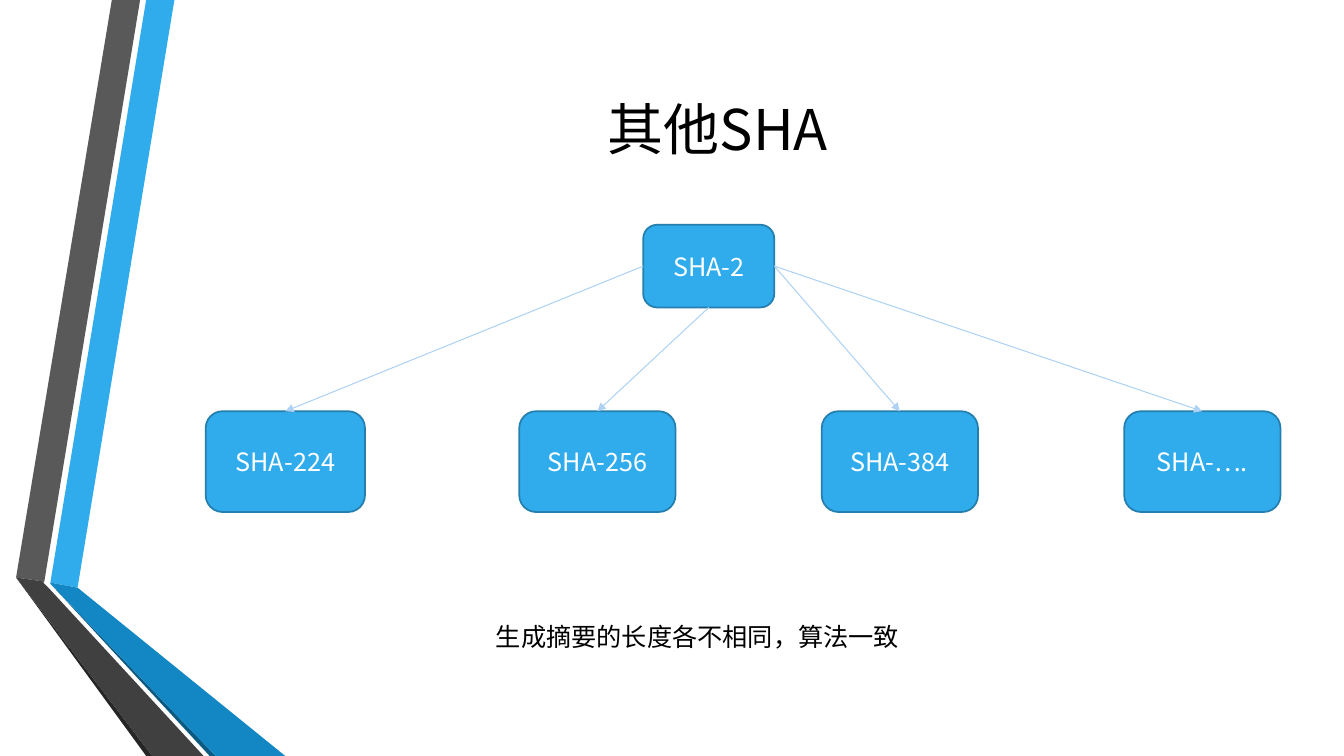
from lxml.etree import SubElement
from pptx import Presentation
from pptx.dml.color import RGBColor
from pptx.enum.shapes import MSO_CONNECTOR, MSO_SHAPE
from pptx.enum.text import MSO_ANCHOR, MSO_AUTO_SIZE, PP_ALIGN
from pptx.oxml.ns import qn
from pptx.util import Emu, Pt

PX = 9144  # 100 px to the inch
FONT = "Noto Sans CJK SC"
COLORS = {
    "blue": "30ACEC", "blue_side": "1287C3", "blue_edge": "0C5A82",
    "gray": "595959", "gray_side": "404040", "gray_edge": "262626",
    "border": "247FAF", "arrow": "AED2F4", "black": "000000", "white": "FFFFFF",
}

RIBBONS = [
    ("blue", [(50, 578), (77, 583), (173, 0), (145, 0)]),
    ("gray", [(139, 0), (111, 0), (16, 573), (44, 577)]),
    ("gray_edge", [(16, 573), (145, 750), (151, 750)]),
    ("blue_edge", [(50, 579), (208, 750), (214, 750)]),
    ("blue_side", [(50, 578), (50, 579), (214, 750), (283, 750), (77, 583)]),
    ("gray_side", [(202, 750), (48, 583), (43, 578), (44, 577), (16, 573), (151, 750)]),
]
TITLE = ("其他SHA", (164, 31, 1096, 192))
ROOT = ("SHA-2", (638, 223, 130, 82))
CAPTION = ("生成摘要的长度各不相同，算法一致", (482, 611, 424, 40))

TOP, LEFT, BOTTOM, RIGHT = range(4)  # connection sites of a rounded rectangle
CHILD_TOP, CHILD_HEIGHT = 408, 100
CHILDREN = [  # text, left, width, site on the root
    ("SHA-224", 204, 158, LEFT),
    ("SHA-256", 515, 155, BOTTOM),
    ("SHA-384", 815, 155, RIGHT),
    ("SHA-….", 1115, 155, RIGHT),
]


def px(*lengths):
    return [Emu(n * PX) for n in lengths]


def rgb(name):
    return RGBColor.from_string(COLORS[name])


def write(shape, text, size, color, align=PP_ALIGN.CENTER):
    tf = shape.text_frame
    tf.text = text
    tf.vertical_anchor = MSO_ANCHOR.MIDDLE
    p = tf.paragraphs[0]
    p.alignment = align
    p.font.name = FONT
    p.font.size = Pt(size)
    p.font.color.rgb = rgb(color)
    props = p._p.pPr.find(qn("a:defRPr"))
    SubElement(props, qn("a:ea")).set("typeface", FONT)


def add_ribbon(s, color, points):
    builder = s.shapes.build_freeform(*points[0], scale=PX)
    builder.add_line_segments(points[1:], close=True)
    sp = builder.convert_to_shape()
    sp.shadow.inherit = False
    sp.fill.solid()
    sp.fill.fore_color.rgb = rgb(color)
    sp.line.fill.background()


def add_node(s, text, box):
    sp = s.shapes.add_shape(MSO_SHAPE.ROUNDED_RECTANGLE, *px(*box))
    sp.shadow.inherit = False
    sp.fill.solid()
    sp.fill.fore_color.rgb = rgb("blue")
    sp.line.color.rgb = rgb("border")
    sp.line.width = Pt(1.25)
    write(sp, text, 18, "white")
    return sp


def add_arrow(s, root, site, child):
    line = s.shapes.add_connector(MSO_CONNECTOR.STRAIGHT, 0, 0, 0, 0)
    line.begin_connect(root, site)
    line.end_connect(child, TOP)
    line.line.color.rgb = rgb("arrow")
    line.line.width = Pt(0.75)
    SubElement(line.line._get_or_add_ln(), qn("a:tailEnd")).set("type", "triangle")
    SubElement(line._element.spPr, qn("a:effectLst"))


def main():
    prs = Presentation()
    prs.slide_width, prs.slide_height = px(1333, 750)
    s = prs.slides.add_slide(prs.slide_layouts[5])

    for color, points in RIBBONS:
        add_ribbon(s, color, points)

    text, box = TITLE
    title = s.shapes.title
    title.left, title.top, title.width, title.height = px(*box)
    write(title, text, 40, "black")

    root = add_node(s, *ROOT)
    for text, left, width, site in CHILDREN:
        child = add_node(s, text, (left, CHILD_TOP, width, CHILD_HEIGHT))
        add_arrow(s, root, site, child)

    text, box = CAPTION
    caption = s.shapes.add_textbox(*px(*box))
    caption.text_frame.word_wrap = False
    caption.text_frame.auto_size = MSO_AUTO_SIZE.SHAPE_TO_FIT_TEXT
    write(caption, text, 18, "black", PP_ALIGN.LEFT)

    prs.save("out.pptx")


if __name__ == "__main__":
    main()
